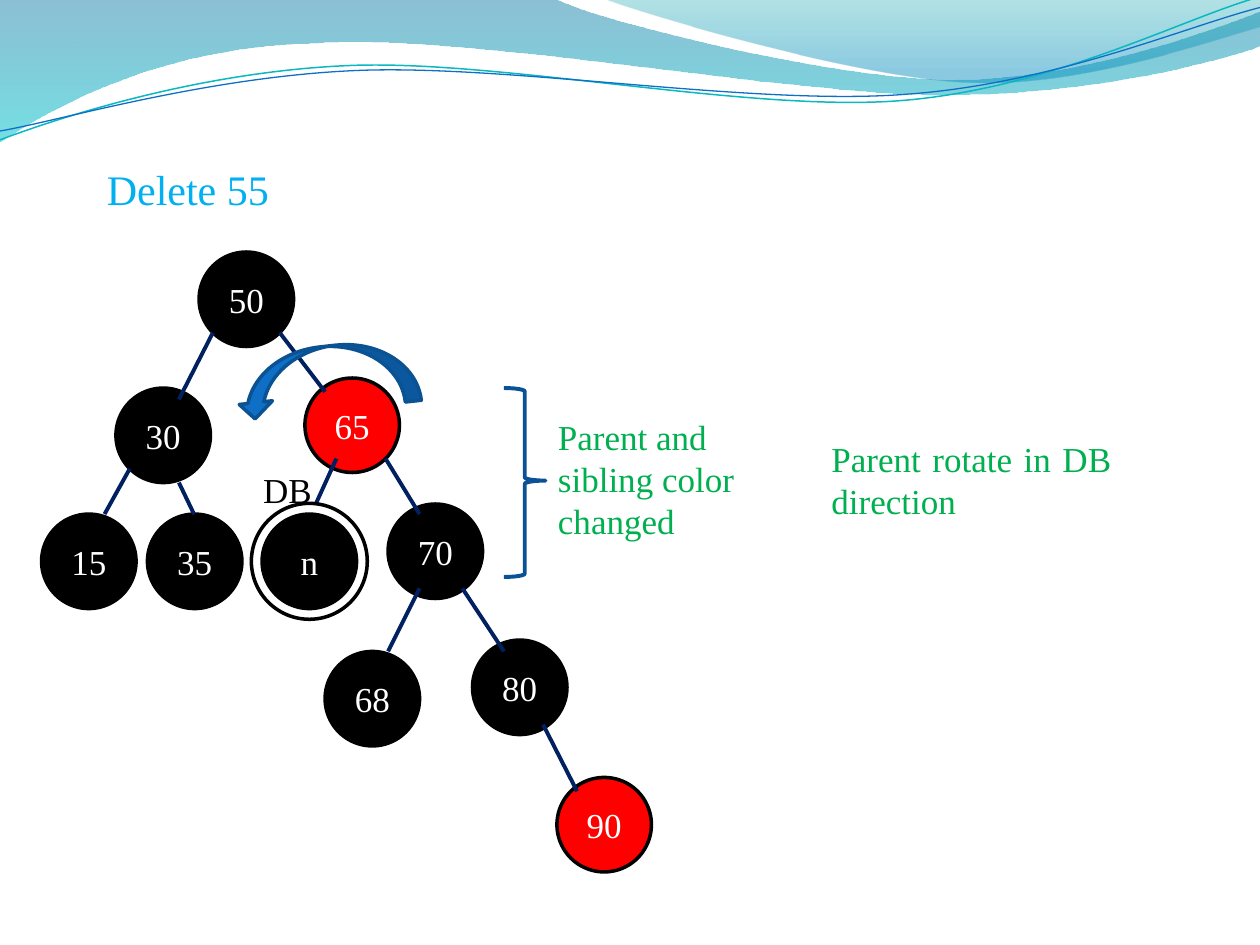
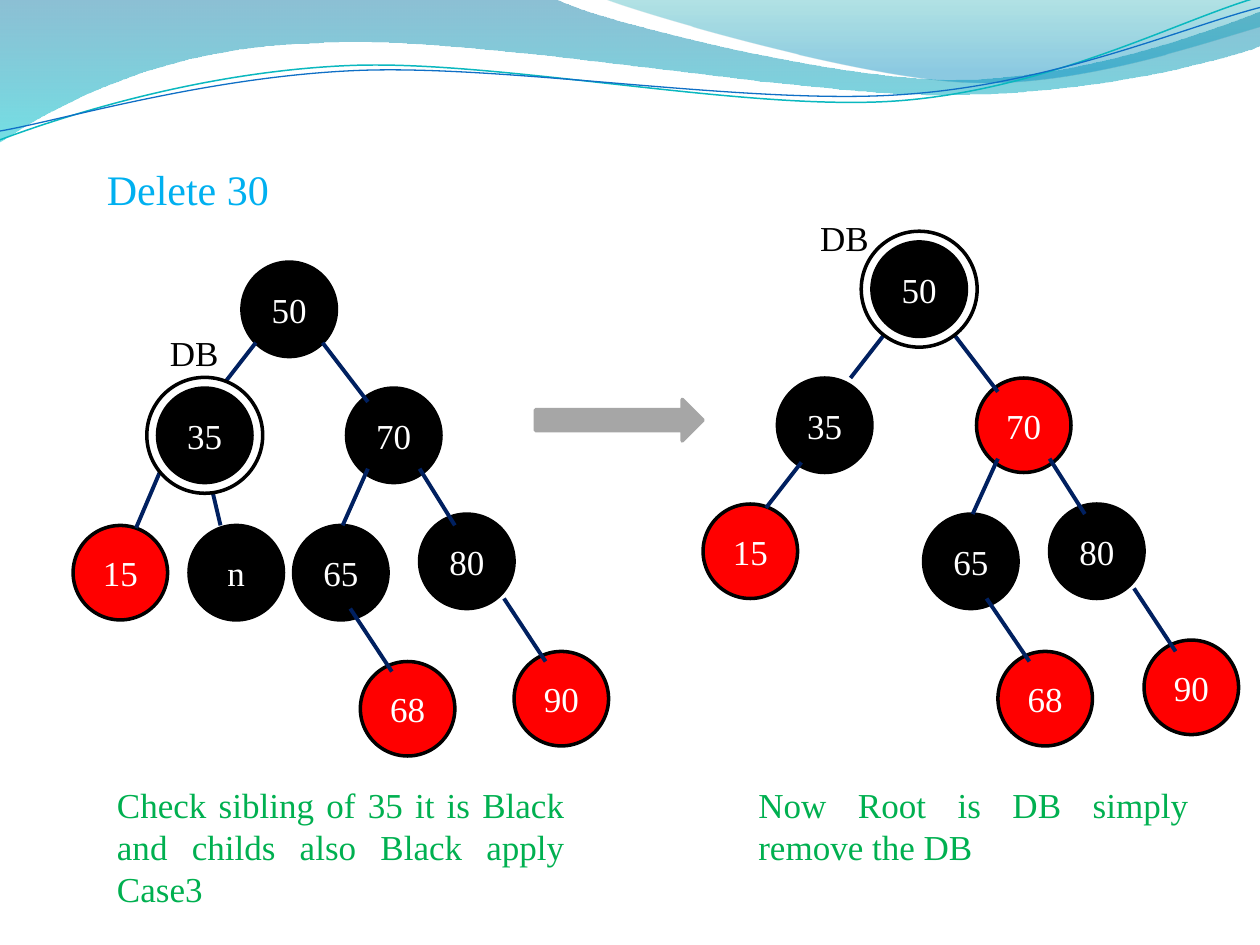
import math
from dataclasses import dataclass
from typing import Optional

from lxml import etree
from pptx import Presentation
from pptx import util as u
from pptx.dml import color as dml
from pptx.enum import shapes, text
from pptx.oxml import ns

FONT = "Times New Roman"
SIZE = 0.75   # node width
RING = 0.92   # width of the ring around a double black node
TILT = 2.7    # degrees by which the thin waves lean to the left
HUES = {
    "black": "000000", "red": "FF0000", "white": "FFFFFF", "edge": "002060",
    "title": "00B0F0", "note": "00B050", "grey": "A6A6A6",
    "blue": "0F6FC6", "rim": "0B5292", "brace": "095295", "teal": "0AB8BF",
    "deep": "0074A1", "cyan": "00C6CF", "green": "00A1A9", "sky": "008BBF",
}
KIND = shapes.MSO_SHAPE
ALIGN = text.PP_ALIGN


@dataclass(frozen=True)
class Node:
    label: str
    left: float
    top: float
    fill: str = "black"
    ringed: bool = False


@dataclass(frozen=True)
class Edge:
    x1: float
    y1: float
    x2: float
    y2: float


@dataclass(frozen=True)
class Stop:
    place: float
    hue: str
    alpha: int


@dataclass(frozen=True)
class Wave:
    """Points: the start, then straight ends (pairs) or curves (six numbers)."""
    points: list
    stops: tuple = ()
    hue: str = ""
    width: float = 0
    pivot: Optional[tuple] = None


@dataclass(frozen=True)
class Note:
    words: str
    box: tuple
    hue: str = "note"
    size: int = 20
    align: Optional[ALIGN] = None
    wrap: bool = True


WAVES = [
    Wave([(0, 0), (4.4, -0.01), (4.76, 0.17, 6.64, 0.63, 7.58, 0.63),
          (8.53, 0.63, 9.58, 0.26, 10, 0.09), (10.01, 0.36),
          (9.83, 0.44, 8.7, 0.76, 7.46, 0.75),
          (6.22, 0.75, 3.82, 0.28, 2.57, 0.34),
          (1.29, 0.36, 0.46, 0.83, -0.01, 1.13), (0, 0)],
         stops=(Stop(0, "deep", 45), Stop(1, "cyan", 55))),
    Wave([(4.79, -0.01), (5.09, 0.11, 6.82, 0.62, 7.69, 0.65),
          (8.56, 0.69, 9.61, 0.32, 10, 0.21), (10, 0), (4.79, -0.01)],
         stops=(Stop(0, "green", 30), Stop(0.8, "sky", 45))),
    Wave([(0, 1.11), (0.48, 0.93, 1.58, 0.57, 2.77, 0.52),
          (3.95, 0.47, 5.93, 0.89, 7.13, 0.8),
          (8.33, 0.71, 9.38, 0.15, 9.98, -0.02)],
         hue="teal", width=0.85, pivot=(4.99, 0.57)),
    Wave([(0, 1.04), (0.47, 0.96, 1.64, 0.61, 2.83, 0.56),
          (4.03, 0.51, 5.97, 0.84, 7.17, 0.75),
          (8.36, 0.67, 9.41, 0.21, 10, 0.06)],
         hue="blue", width=0.75, pivot=(5, 0.59)),
]


def rgb(hue: str) -> dml.RGBColor:
    return dml.RGBColor.from_string(HUES[hue])


def write(frame, words: str, *, size: int = 20, hue: str = "white",
          align: Optional[ALIGN] = None) -> None:
    para = frame.paragraphs[0]
    para.alignment = align
    run = para.add_run()
    run.text = words
    run.font.name = FONT
    run.font.size = u.Pt(size)
    run.font.color.rgb = rgb(hue)


def add_note(slide, note: Note) -> None:
    frame = slide.shapes.add_textbox(*map(u.Inches, note.box)).text_frame
    frame.word_wrap = note.wrap
    frame.auto_size = text.MSO_AUTO_SIZE.SHAPE_TO_FIT_TEXT
    write(frame, note.words, size=note.size, hue=note.hue, align=note.align)


def add_form(slide, kind: KIND, box: tuple, *, fill: str = "",
             line: str = "black", width: float = 2):
    form = slide.shapes.add_shape(kind, *map(u.Inches, box))
    form.shadow.inherit = False
    if fill:
        form.fill.solid()
        form.fill.fore_color.rgb = rgb(fill)
    else:
        form.fill.background()
    form.line.color.rgb = rgb(line)
    form.line.width = u.Pt(width)
    return form


def add_node(slide, node: Node) -> None:
    if node.ringed:
        gap = (RING - SIZE) / 2
        add_form(slide, KIND.OVAL,
                 (node.left - gap, node.top - gap, RING, RING), fill="white")
    disc = add_form(slide, KIND.OVAL, (node.left, node.top, SIZE, SIZE),
                    fill=node.fill)
    disc.text_frame.vertical_anchor = text.MSO_ANCHOR.MIDDLE
    write(disc.text_frame, node.label, align=ALIGN.CENTER)


def add_edge(slide, edge: Edge) -> None:
    ends = map(u.Inches, (edge.x1, edge.y1, edge.x2, edge.y2))
    link = slide.shapes.add_connector(shapes.MSO_CONNECTOR.STRAIGHT, *ends)
    link.line.color.rgb = rgb("edge")
    link.line.width = u.Pt(2.25)
    etree.SubElement(link._element.spPr, ns.qn("a:effectLst"))


def add_tree(slide, nodes: list[Node], edges: list[Edge]) -> None:
    """Draw plain nodes, then edges, then ringed nodes over the edge ends."""
    for node in nodes:
        if not node.ringed:
            add_node(slide, node)
    for edge in edges:
        add_edge(slide, edge)
    for node in nodes:
        if node.ringed:
            add_node(slide, node)


def level(x: float, y: float, pivot: Optional[tuple]) -> tuple:
    """Undo the tilt of a point, since the shape itself is rotated."""
    if pivot:
        turn = math.radians(TILT)
        dx, dy = x - pivot[0], y - pivot[1]
        x = pivot[0] + dx * math.cos(turn) - dy * math.sin(turn)
        y = pivot[1] + dx * math.sin(turn) + dy * math.cos(turn)
    return u.Inches(x), u.Inches(y)


def bend(form, parts: list) -> None:
    """Join the three straight runs of each curved part into one curve."""
    runs = iter(list(form._element.iter(ns.qn("a:lnTo"))))
    for part in parts:
        first = next(runs)
        if len(part) == 2:
            continue
        curve = etree.Element(ns.qn("a:cubicBezTo"))
        first.addprevious(curve)
        for run in (first, next(runs), next(runs)):
            curve.append(run[0])
            run.getparent().remove(run)


def add_wave(slide, wave: Wave):
    start, *rest = [level(*part[i:i + 2], wave.pivot)
                    for part in wave.points for i in range(0, len(part), 2)]
    pen = slide.shapes.build_freeform(*start, scale=1.0)
    pen.add_line_segments(rest, close=bool(wave.stops))
    form = pen.convert_to_shape()
    bend(form, wave.points[1:])
    form.shadow.inherit = False
    if wave.pivot:
        form.rotation = 360 - TILT
    if not wave.stops:
        form.fill.background()
        form.line.color.rgb = rgb(wave.hue)
        form.line.width = u.Pt(wave.width)
        return form
    form.line.fill.background()
    form.fill.gradient()
    form.fill.gradient_angle = 270
    for mark, stop in zip(form.fill.gradient_stops, wave.stops):
        mark.color.rgb = rgb(stop.hue)
        mark.position = stop.place
    tints = form._element.spPr.iter(ns.qn("a:srgbClr"))
    for tint, stop in zip(tints, wave.stops):
        etree.SubElement(tint, ns.qn("a:alpha"), val=str(stop.alpha * 1000))
    return form


def share_waves(slide) -> None:
    """Draw the waves and move them to the layout that all slides use."""
    tree = slide.slide_layout.shapes._spTree
    for wave in WAVES:
        tree.insert_element_before(add_wave(slide, wave)._element, "p:extLst")


def start_slide(deck, title: str):
    slide = deck.slides.add_slide(deck.slide_layouts[6])
    add_note(slide, Note(title, (0.75, 1.25, 1.5, 0.5), "title", 24,
                         wrap=False))
    return slide


def tag(left: float, top: float) -> Note:
    """Label for a double black node."""
    return Note("DB", (left, top, 0.59, 0.44), "black", wrap=False)


def draw_first(deck) -> None:
    slide = start_slide(deck, "Delete 55")
    share_waves(slide)
    add_tree(slide, [
        Node("50", 1.58, 2), Node("65", 2.42, 3, "red"), Node("30", 0.92, 3.08),
        Node("70", 3.08, 4), Node("68", 2.58, 5.17), Node("80", 3.75, 5.08),
        Node("90", 4.42, 6.17, "red"), Node("15", 0.33, 4.08),
        Node("35", 1.17, 4.08), Node("n", 2.08, 4.08, ringed=True),
    ], [
        Edge(2.22, 2.64, 2.58, 3.11), Edge(3.06, 3.64, 3.33, 4.08),
        Edge(1.69, 2.64, 1.42, 3.17), Edge(1.03, 3.72, 0.83, 4.08),
        Edge(2.67, 3.64, 2.47, 4.08), Edge(3.67, 4.67, 4, 5.17),
        Edge(3.33, 4.67, 3.08, 5.17), Edge(4.31, 5.75, 4.58, 6.28),
        Edge(1.42, 3.83, 1.54, 4.08),
    ])
    brace = add_form(slide, KIND.RIGHT_BRACE, (4, 3.08, 0.33, 1.5),
                     line="brace", width=2.25)
    brace.adjustments[0], brace.adjustments[1] = 0.08, 0.49
    turn = add_form(slide, KIND.CURVED_DOWN_ARROW, (1.86, 2.75, 1.46, 0.51),
                    fill="blue", line="rim")
    turn.adjustments[1] = 0.52
    turn.rotation = 353.6
    turn._element.spPr.xfrm.set("flipH", "1")
    for note in (
        tag(1.99, 3.67),
        Note("Parent and sibling color changed", (4.33, 3.25, 1.92, 1.11)),
        Note("Parent rotate in DB direction", (6.5, 3.42, 2.42, 0.77),
             align=ALIGN.JUSTIFY),
    ):
        add_note(slide, note)


def draw_second(deck) -> None:
    slide = start_slide(deck, "Delete 30")
    add_tree(slide, [
        Node("50", 1.92, 2.08), Node("70", 2.75, 3.08), Node("80", 3.33, 4.08),
        Node("68", 2.86, 5.25, "red"), Node("90", 4.08, 5.17, "red"),
        Node("15", 0.58, 4.17, "red"), Node("65", 2.33, 4.17),
        Node("n", 1.5, 4.17), Node("35", 1.25, 3.08, ringed=True),
    ], [
        Edge(2.56, 2.72, 2.92, 3.19), Edge(3.33, 3.72, 3.61, 4.17),
        Edge(2.03, 2.72, 1.75, 3.08), Edge(2.92, 3.72, 2.72, 4.17),
        Edge(4, 4.75, 4.33, 5.25), Edge(2.78, 4.83, 3.11, 5.33),
        Edge(1.67, 3.83, 1.75, 4.17), Edge(1.28, 3.72, 1.08, 4.19),
    ])
    add_tree(slide, [
        Node("70", 7.75, 3, "red"), Node("35", 6.17, 3), Node("80", 8.33, 4),
        Node("68", 7.92, 5.17, "red"), Node("90", 9.08, 5.08, "red"),
        Node("15", 5.58, 4, "red"), Node("65", 7.33, 4.08),
        Node("50", 6.92, 1.92, ringed=True),
    ], [
        Edge(7.56, 2.64, 7.92, 3.11), Edge(8.33, 3.64, 8.61, 4.08),
        Edge(7.03, 2.64, 6.75, 3), Edge(7.92, 3.64, 7.72, 4.08),
        Edge(9, 4.67, 9.33, 5.17), Edge(7.83, 4.75, 8.17, 5.25),
        Edge(6.36, 3.67, 6.08, 4.03),
    ])
    add_form(slide, KIND.RIGHT_ARROW, (4.25, 3.17, 1.33, 0.33),
             fill="grey", line="grey")
    for note in (
        tag(1.25, 2.58),
        tag(6.41, 1.67),
        Note("Check sibling of 35 it is Black and childs also Black "
             "apply Case3", (0.83, 6.17, 3.75, 1.11), align=ALIGN.JUSTIFY),
        Note("Now Root is DB simply remove the DB", (5.92, 6.17, 3.61, 0.77),
             align=ALIGN.JUSTIFY),
    ):
        add_note(slide, note)


def main() -> None:
    deck = Presentation()
    deck.slide_width, deck.slide_height = u.Inches(10), u.Inches(7.5)
    draw_first(deck)
    draw_second(deck)
    deck.save("out.pptx")


if __name__ == "__main__":
    main()
